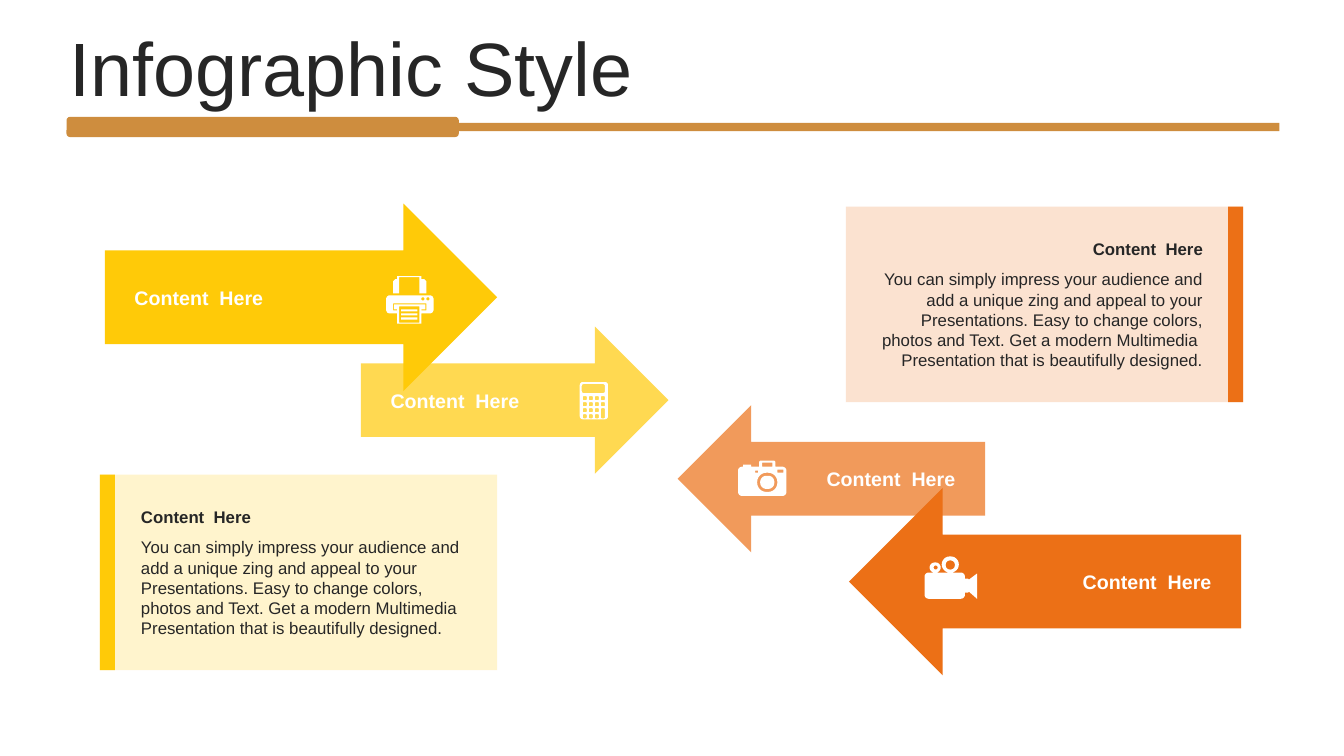
from math import cos, radians, sin

from lxml import etree
from pptx import Presentation
from pptx.dml.color import RGBColor
from pptx.enum.shapes import MSO_SHAPE as Preset
from pptx.enum.text import MSO_ANCHOR as Anchor, PP_ALIGN as Align
from pptx.oxml.ns import qn
from pptx.util import Inches, Pt

BROWN = RGBColor(0xCE, 0x8D, 0x3E)
YELLOW = RGBColor(0xFF, 0xCA, 0x08)
ORANGE = RGBColor(0xEC, 0x70, 0x16)
DARK = RGBColor(0x26, 0x26, 0x26)
WHITE = RGBColor(0xFF, 0xFF, 0xFF)

HEADING = "Content  Here"
BODY = ("You can simply impress your audience and add a unique zing and appeal to your "
        "Presentations. Easy to change colors, photos and Text. Get a modern Multimedia  "
        "Presentation that is beautifully designed.")

deck = Presentation()
deck.slide_width, deck.slide_height = Inches(13.33), Inches(7.5)
page = deck.slides.add_slide(deck.slide_layouts[6])


def paint(shape, color, opacity=100):
    """Give a shape a plain fill without line or shadow; opacity is in percent."""
    shape.shadow.inherit = False
    shape.line.fill.background()
    shape.fill.solid()
    shape.fill.fore_color.rgb = color
    if opacity < 100:
        tint = shape.fill._xPr.find(qn("a:solidFill"))[0]
        etree.SubElement(tint, qn("a:alpha"), val=str(opacity * 1000))


def write(text, left, top, width, height, size, color=DARK, bold=False,
          align=Align.LEFT, anchor=Anchor.TOP, spacing=None):
    box = page.shapes.add_textbox(Inches(left), Inches(top), Inches(width), Inches(height))
    frame = box.text_frame
    frame.word_wrap = True
    frame.vertical_anchor = anchor
    para = frame.paragraphs[0]
    para.alignment = align
    para.line_spacing = spacing
    span = para.add_run()
    span.text = text
    span.font.name = "Arial"
    span.font.size = Pt(size)
    span.font.bold = bold
    span.font.color.rgb = color


# Title and its rule
for preset, left, top, width, height in [
    (Preset.RECTANGLE, 2.89, 1.22, 9.8, 0.08),
    (Preset.ROUNDED_RECTANGLE, 0.66, 1.16, 3.89, 0.2),
]:
    rule = page.shapes.add_shape(preset, Inches(left), Inches(top), Inches(width), Inches(height))
    paint(rule, BROWN)
write("Infographic Style", 0.59, 0.32, 12.17, 0.79, 54, anchor=Anchor.MIDDLE, spacing=0.9)

# Arrows, the pale one of each pair behind
LABEL_WIDTH, LABEL_HEIGHT = 1.67, 0.34
for preset, left, top, width, height, color, opacity in [
    (Preset.RIGHT_ARROW, 3.58, 3.24, 3.05, 1.46, YELLOW, 70),
    (Preset.RIGHT_ARROW, 1.04, 2.02, 3.89, 1.86, YELLOW, 100),
    (Preset.LEFT_ARROW, 6.72, 4.02, 3.05, 1.46, ORANGE, 70),
    (Preset.LEFT_ARROW, 8.42, 4.84, 3.89, 1.86, ORANGE, 100),
]:
    arrow = page.shapes.add_shape(preset, Inches(left), Inches(top), Inches(width), Inches(height))
    paint(arrow, color, opacity)
    points_right = preset == Preset.RIGHT_ARROW
    label_left = left if points_right else left + width - LABEL_WIDTH
    write(HEADING, label_left, top + (height - LABEL_HEIGHT) / 2, LABEL_WIDTH, LABEL_HEIGHT,
          14, WHITE, True, Align.RIGHT if points_right else Align.LEFT, Anchor.MIDDLE)

# Text cards with a coloured edge
CARD_WIDTH, CARD_HEIGHT, EDGE_WIDTH = 3.94, 1.94, 0.15
for left, top, edge_left, text_left, text_width, color, align in [
    (0.99, 4.71, 0.99, 1.3, 3.41, YELLOW, Align.LEFT),
    (8.39, 2.05, 12.18, 8.59, 3.44, ORANGE, Align.RIGHT),
]:
    for part_left, part_width, opacity in [(left, CARD_WIDTH, 20), (edge_left, EDGE_WIDTH, 100)]:
        part = page.shapes.add_shape(Preset.RECTANGLE, Inches(part_left), Inches(top),
                                     Inches(part_width), Inches(CARD_HEIGHT))
        paint(part, color, opacity)
    write(HEADING, text_left, top + 0.27, text_width, 0.3, 12, bold=True, align=align)
    write(BODY, text_left, top + 0.57, text_width, 1.11, 12, align=align, spacing=Pt(14.4))

# Icon outlines: (left, top, right, bottom, corner radius) or a list of points;
# an outline inside another one is a hole
calculator = [(5.75, 3.79, 6.03, 4.16, 0.03), (5.77, 3.81, 6, 3.9, 0.02)]
for column in range(4):
    for row in range(4):
        if (column, row) != (3, 3):
            key_left, key_top = 5.78 + 0.06 * column, 3.93 + 0.06 * row
            tall = column == 3 and row == 2
            calculator.append((key_left, key_top, key_left + 0.04,
                               key_top + (0.1 if tall else 0.04), 0.01))

printer = [
    [(3.94, 2.74), (4.18, 2.74), (4.18, 2.77), (4.21, 2.77), (4.23, 2.79), (4.23, 2.91),
     (4.16, 2.91), (4.16, 2.75), (3.96, 2.75), (3.96, 2.91), (3.9, 2.91), (3.9, 2.79),
     (3.92, 2.77), (3.94, 2.77)],
    [(3.86, 2.93), (4.27, 2.93), (4.29, 2.94), (4.3, 2.96), (4.3, 3.08), (4.29, 3.1),
     (4.27, 3.11), (4.18, 3.11), (4.18, 3.21), (3.94, 3.21), (3.94, 3.11), (3.86, 3.11),
     (3.84, 3.1), (3.83, 3.08), (3.83, 2.96), (3.84, 2.94)],
    [(3.9, 3.01), (4.23, 3.01), (4.23, 3.08), (4.18, 3.08), (4.18, 3.07), (4.22, 3.07),
     (4.22, 3.02), (3.91, 3.02), (3.91, 3.07), (3.94, 3.07), (3.94, 3.08), (3.9, 3.08)],
    (3.96, 3.04, 4.16, 3.2, 0),
    (4.18, 2.95, 4.21, 2.98, 0.01),
    (4.23, 2.95, 4.26, 2.98, 0.01),
] + [(3.98, top, 4.14, top + 0.02, 0) for top in (3.07, 3.11, 3.15)]

camera = [
    (7.32, 4.63, 7.8, 4.92, 0.04),
    (7.37, 4.61, 7.45, 4.63, 0),
    [(7.53, 4.63), (7.53, 4.58), (7.54, 4.57), (7.68, 4.57), (7.69, 4.58), (7.69, 4.63),
     (7.66, 4.63), (7.66, 4.59), (7.56, 4.59), (7.56, 4.63)],
    (7.51, 4.69, 7.71, 4.88, 0.09),
    (7.54, 4.72, 7.68, 4.85, 0.06),
    (7.49, 4.67, 7.52, 4.69, 0),
    (7.71, 4.66, 7.77, 4.69, 0),
]

film_camera = [
    (9.17, 5.68, 9.57, 5.94, 0.04),
    [(9.57, 5.74), (9.6, 5.74), (9.61, 5.75), (9.69, 5.69), (9.69, 5.94), (9.61, 5.87),
     (9.6, 5.88), (9.57, 5.88)],
    (9.34, 5.52, 9.51, 5.68, 0.08),
    (9.38, 5.56, 9.47, 5.65, 0.04),
    (9.22, 5.58, 9.33, 5.68, 0.05),
    (9.26, 5.61, 9.3, 5.65, 0.02),
]

for icon in (calculator, printer, camera, film_camera):
    builder = None
    for outline in icon:
        points = outline
        if isinstance(outline, tuple):
            left, top, right, bottom, radius = outline
            corners = [(right - radius, bottom - radius, 0), (left + radius, bottom - radius, 90),
                       (left + radius, top + radius, 180), (right - radius, top + radius, 270)]
            points = [(x + radius * cos(radians(start + turn)), y + radius * sin(radians(start + turn)))
                      for x, y, start in corners
                      for turn in (range(0, 91, 15) if radius else [0])]
        points = [(Inches(x), Inches(y)) for x, y in points]
        if builder is None:
            builder = page.shapes.build_freeform(*points[0])
        else:
            builder.move_to(*points[0])
        builder.add_line_segments(points[1:], close=True)
    paint(builder.convert_to_shape(), WHITE)

deck.save("out.pptx")
